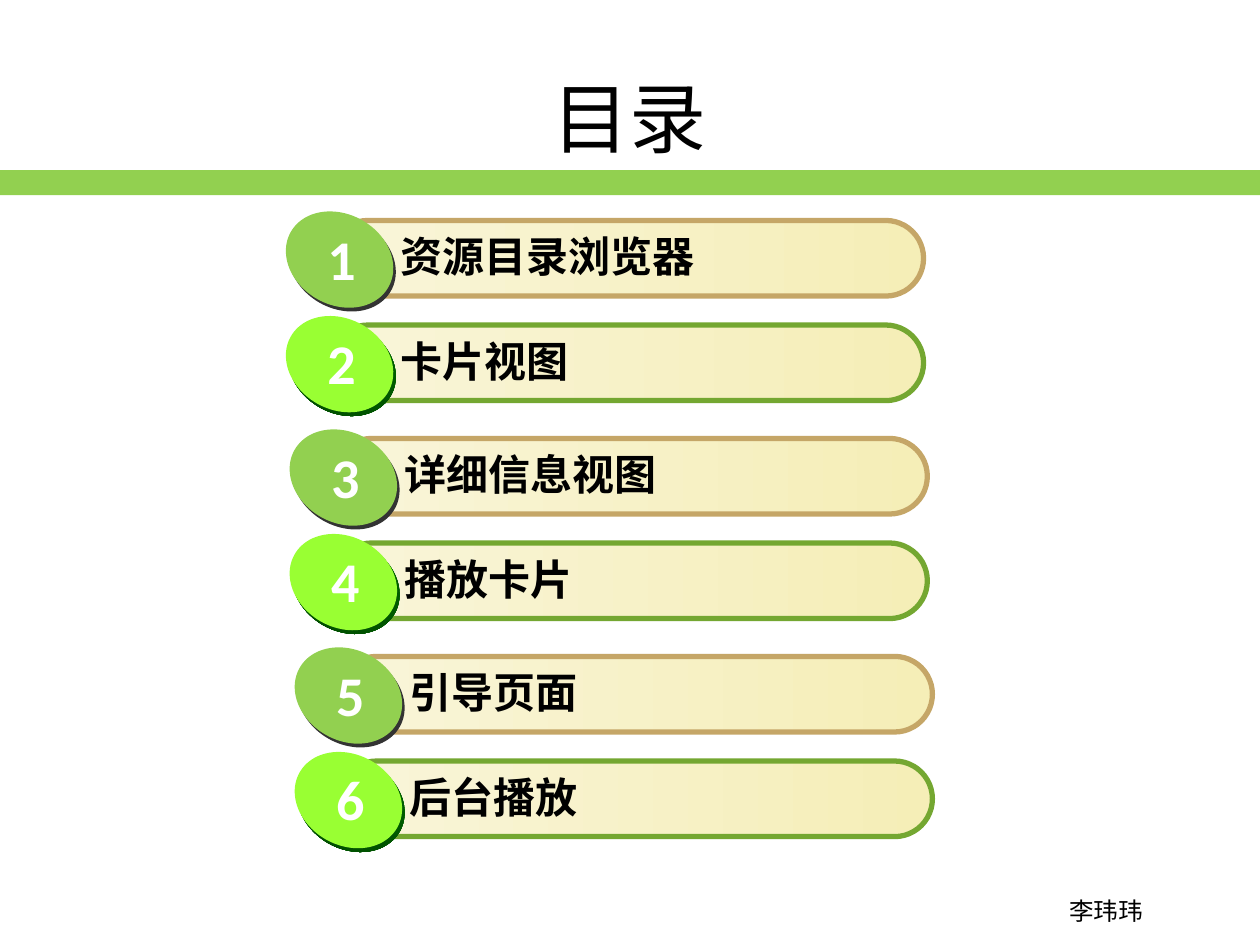
from lxml import etree
from pptx import Presentation
from pptx.dml.color import RGBColor
from pptx.enum.shapes import MSO_SHAPE
from pptx.enum.text import MSO_ANCHOR, MSO_AUTO_SIZE, PP_ALIGN
from pptx.oxml.ns import qn
from pptx.util import Inches, Pt

RECT, PILL, OVAL = MSO_SHAPE.RECTANGLE, MSO_SHAPE.ROUNDED_RECTANGLE, MSO_SHAPE.OVAL
LEFT, CENTER = PP_ALIGN.LEFT, PP_ALIGN.CENTER
TOP, MIDDLE = MSO_ANCHOR.TOP, MSO_ANCHOR.MIDDLE
GROW, FIXED = MSO_AUTO_SIZE.SHAPE_TO_FIT_TEXT, MSO_AUTO_SIZE.NONE

BLACK = RGBColor(0x00, 0x00, 0x00)
WHITE = RGBColor(0xFF, 0xFF, 0xFF)
GREEN = RGBColor(0x92, 0xD0, 0x50)
LIME = RGBColor(0x99, 0xFF, 0x33)
GRAY = RGBColor(0x33, 0x33, 0x33)
TAN = RGBColor(0xC5, 0xA6, 0x67)
MOSS = RGBColor(0x74, 0xA7, 0x31)
CREAM = (RGBColor(0xF9, 0xF5, 0xD9), RGBColor(0xF5, 0xEE, 0xB7))
FOREST = (RGBColor(0x00, 0x66, 0x00), RGBColor(0x00, 0x49, 0x00))

LATIN, HAN = "Calibri", "Noto Sans CJK SC"

TITLE = "目录"
AUTHOR = "李玮玮"
ITEMS = ["资源目录浏览器", "卡片视图", "详细信息视图", "播放卡片", "引导页面", "后台播放"]
STYLES = [(TAN, GRAY, GREEN), (MOSS, FOREST, LIME)]  # outline, shade, disc
PAIRS = [2.62, 2.65, 2.69]  # left edge of each pair of bars
FIRST, PAIR_STEP, ROW_STEP = 1.75, 1.73, 0.83
TILT = 29.3


def add_text(shapes, text, box, size, font=LATIN, color=BLACK, bold=False,
             align=LEFT, anchor=TOP, fit=GROW, wrap=True):
    frame = shapes.add_textbox(*map(Inches, box)).text_frame
    frame.word_wrap, frame.auto_size = wrap, fit
    frame.vertical_anchor = anchor
    para = frame.paragraphs[0]
    para.text, para.alignment = text, align
    para.font.size, para.font.bold = Pt(size), bold
    para.font.color.rgb, para.font.name = color, font
    props = para._p.pPr.find(qn("a:defRPr"))
    etree.SubElement(props, qn("a:ea")).set("typeface", HAN)


def add_form(shapes, kind, box, paint, angle=0, line=None):
    """Add a shape; a pair of colours as paint makes a gradient."""
    form = shapes.add_shape(kind, *map(Inches, box))
    form.shadow.inherit = False
    if isinstance(paint, RGBColor):
        form.fill.solid()
        form.fill.fore_color.rgb = paint
    else:
        form.fill.gradient()
        form.fill.gradient_angle = angle
        for stop, color in zip(form.fill.gradient_stops, paint):
            stop.color.rgb = color
    if line is None:
        form.line.fill.background()
    else:
        form.line.color.rgb, form.line.width = line, Pt(3)
    return form


def add_item(slide, index, label):
    pair, row = divmod(index, 2)
    edge, shade, disc = STYLES[row]
    x, y = PAIRS[pair], FIRST + pair * PAIR_STEP + row * ROW_STEP
    shapes = slide.shapes.add_group_shape().shapes
    bar = add_form(shapes, PILL, (x, y, 4.71, 0.6), CREAM, line=edge)
    bar.adjustments[0] = 0.5
    add_text(shapes, label, (x + 0.46, y + 0.03, 3.75, 0.51), 24, bold=True)
    for dx, dy, paint in [(-0.35, -0.02, shade), (-0.37, -0.05, disc)]:
        oval = add_form(shapes, OVAL, (x + dx, y + dy, 0.89, 0.72), paint, angle=270)
        oval.rotation = TILT
    add_text(shapes, str(index + 1), (x - 0.12, y - 0.02, 0.44, 0.63), 32,
             color=WHITE, bold=True, wrap=False)


def main():
    deck = Presentation()
    deck.slide_width, deck.slide_height = Inches(10), Inches(7.5)
    slide = deck.slides.add_slide(deck.slide_layouts[6])
    add_text(slide.shapes, AUTHOR, (8.31, 7.06, 0.94, 0.34), 14, font=HAN, align=CENTER)
    add_form(slide.shapes, RECT, (0, 1.35, 10, 0.2), GREEN)
    add_text(slide.shapes, TITLE, (0.5, 0.3, 9, 1.25), 44, font=HAN,
             align=CENTER, anchor=MIDDLE, fit=FIXED)
    for index, label in enumerate(ITEMS):
        add_item(slide, index, label)
    deck.save("out.pptx")


if __name__ == "__main__":
    main()
